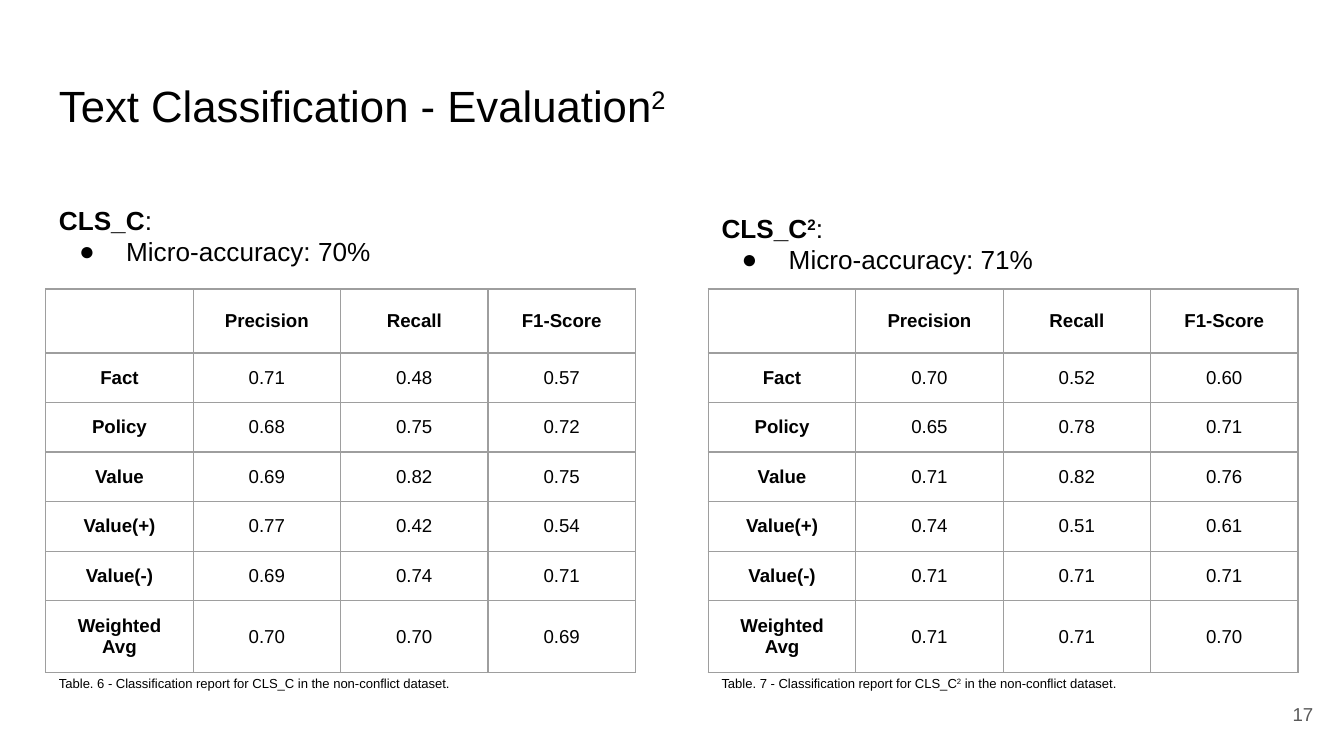
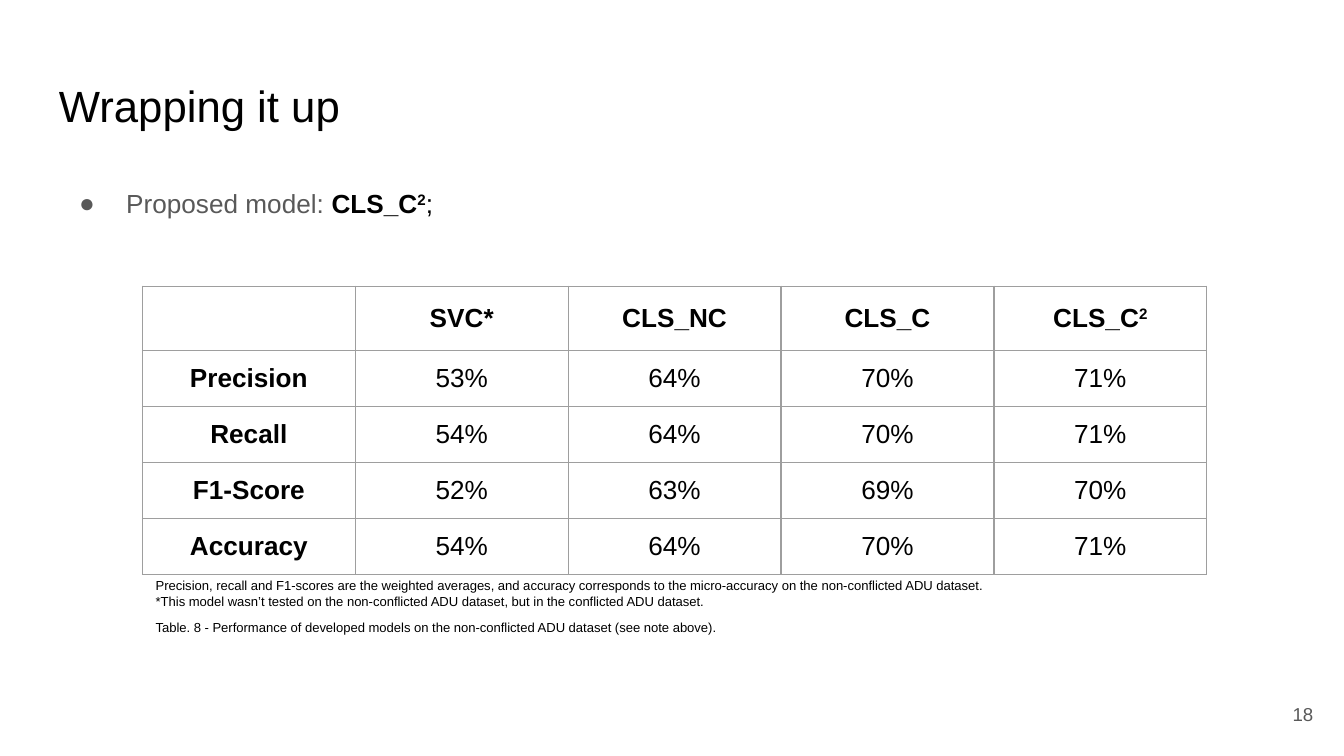
import pptx
import pptx.dml.color
import pptx.enum.text
import pptx.oxml.ns
import pptx.util
from lxml import etree

COLORS = {"text": "000000", "muted": "595959", "border": "9E9E9E", "back": "FFFFFF"}
FONT = "Arial"
ALIGN = pptx.enum.text.PP_ALIGN
ANCHOR = pptx.enum.text.MSO_ANCHOR
AUTO = pptx.enum.text.MSO_AUTO_SIZE
BOLD = {"bold": True}
SUPER = {"raised": True}
BOLD_SUPER = {"bold": True, "raised": True}
MUTED = {"color": "muted"}

# The grid has 100 columns by 56.25 rows, in square steps.
COLUMNS, ROWS = 100, 56.25
STEP = pptx.util.Inches(0.1)
LEFT, RIGHT, FULL = 3.4, 52.7, 93.2
HEADER = 4.76


def grid(n):
    return round(n * STEP)


def rgb(name):
    return pptx.dml.color.RGBColor.from_string(COLORS[name])


def sub(parent, tag, **attrs):
    return etree.SubElement(parent, pptx.oxml.ns.qn(tag), attrs)


class Deck:
    def __init__(self):
        self.prs = pptx.Presentation()
        self.prs.slide_width = grid(COLUMNS)
        self.prs.slide_height = grid(ROWS)
        self.s = None

    def slide(self, number, *title):
        self.s = self.prs.slides.add_slide(self.prs.slide_layouts[6])
        self.s.background.fill.solid()
        self.s.background.fill.fore_color.rgb = rgb("back")
        self.text(LEFT, 4.9, FULL, 6.3, [title], 23.4)
        tf = self.text(92.7, 51, 6, 4.3, [[(str(number), MUTED)]], 10)
        tf.vertical_anchor = ANCHOR.MIDDLE
        tf.paragraphs[0].alignment = ALIGN.RIGHT

    def run(self, p, text, size, bold=False, raised=False, color="text"):
        r = p.add_run()
        r.text = text
        r.font.name = FONT
        r.font.size = pptx.util.Pt(size)
        r.font.bold = bold
        r.font.color.rgb = rgb(color)
        if raised:
            r._r.get_or_add_rPr().set("baseline", "30000")

    def runs(self, p, pieces, size):
        """Each piece is a plain string or a (string, style) pair."""
        for piece in pieces:
            text, style = (piece, {}) if isinstance(piece, str) else piece
            self.run(p, text, size, **style)

    def inset(self, box, vertical=1):
        box.margin_left = box.margin_right = grid(1)
        box.margin_top = box.margin_bottom = grid(vertical)

    def text(self, x, y, w, h, paragraphs, size, grow=False):
        sp = self.s.shapes.add_textbox(grid(x), grid(y), grid(w), grid(h))
        tf = sp.text_frame
        tf.word_wrap = True
        tf.auto_size = AUTO.SHAPE_TO_FIT_TEXT if grow else AUTO.NONE
        self.inset(tf)
        for i, pieces in enumerate(paragraphs):
            p = tf.add_paragraph() if i else tf.paragraphs[0]
            self.runs(p, pieces, size)
        return tf

    def bullet(self, p, color="text"):
        pPr = p._p.get_or_add_pPr()
        pPr.set("marL", str(grid(5)))
        pPr.set("indent", str(grid(-3.5)))
        sub(sub(pPr, "a:buClr"), "a:srgbClr", val=COLORS[color])
        sub(pPr, "a:buFont", typeface=FONT)
        sub(pPr, "a:buChar", char="●")

    def caption(self, x, y, w, h, *paragraphs):
        self.text(x, y, w, h, paragraphs, 7, grow=True)

    def table(self, x, y, col, heights, rows, size):
        """Draw a table whose first row and first column are bold."""
        table = self.s.shapes.add_table(
            len(rows), len(rows[0]), grid(x), grid(y),
            grid(col * len(rows[0])), grid(sum(heights))).table
        table.first_row = table.horz_banding = False
        for column in table.columns:
            column.width = grid(col)
        for i, (height, row) in enumerate(zip(heights, rows)):
            table.rows[i].height = grid(height)
            for j, value in enumerate(row):
                cell = table.cell(i, j)
                self.border(cell)
                # Slim insets let the row heights, not the text, set the size.
                self.inset(cell, vertical=0.6)
                cell.vertical_anchor = ANCHOR.MIDDLE
                cell.fill.background()
                p = cell.text_frame.paragraphs[0]
                p.alignment = ALIGN.CENTER
                style = BOLD if i == 0 or j == 0 else {}
                if value:
                    pieces = [(value, style)] if isinstance(value, str) else value
                    self.runs(p, pieces, size)

    def border(self, cell):
        tcPr = cell._tc.get_or_add_tcPr()
        for side in "LRTB":
            ln = sub(tcPr, f"a:ln{side}", w=str(pptx.util.Pt(0.75)))
            sub(sub(ln, "a:solidFill"), "a:srgbClr", val=COLORS["border"])

    def report(self, x, scores):
        """Draw the classification report of one model."""
        labels = ["Fact", "Policy", "Value", "Value(+)", "Value(-)", "Weighted Avg"]
        rows = [["", "Precision", "Recall", "F1-Score"]]
        rows += [[label, *line.split()] for label, line in zip(labels, scores)]
        self.table(x, 21.5, 10.97, [HEADER] + [3.69] * 5 + [5.35], rows, 10)

    def model(self, x, y, name, accuracy):
        tf = self.text(x, y, 43.9, 6.7,
                       [[*name, ":"], [f"Micro-accuracy: {accuracy}"]], 14, grow=True)
        self.bullet(tf.paragraphs[1])


def evaluation(deck):
    deck.slide(17, "Text Classification - Evaluation", ("2", SUPER))
    deck.report(LEFT, ["0.71 0.48 0.57", "0.68 0.75 0.72", "0.69 0.82 0.75",
                       "0.77 0.42 0.54", "0.69 0.74 0.71", "0.70 0.70 0.69"])
    deck.report(RIGHT, ["0.70 0.52 0.60", "0.65 0.78 0.71", "0.71 0.82 0.76",
                        "0.74 0.51 0.61", "0.71 0.71 0.71", "0.71 0.71 0.70"])
    deck.model(LEFT, 14.2, [("CLS_C", BOLD)], "70%")
    deck.model(RIGHT, 14.8, [("CLS_C", BOLD), ("2", BOLD_SUPER)], "71%")
    top = 49.7
    deck.caption(LEFT, top, 33.8, 3.2, [
        "Table. 6 - Classification report for CLS_C in the non-conflict dataset."])
    deck.caption(RIGHT, top, 33.8, 3.2, [
        "Table. 7 - Classification report for CLS_C", ("2", SUPER),
        " in the non-conflict dataset."])


def wrap_up(deck):
    best = [("CLS_C", BOLD), ("2", BOLD_SUPER)]
    deck.slide(18, "Wrapping it up")
    tf = deck.text(LEFT, 12.6, FULL, 37.4,
                   [[("Proposed model: ", MUTED), *best, ";"]], 14)
    tf.paragraphs[0].line_spacing = 1.15
    deck.bullet(tf.paragraphs[0], "muted")
    left = 10.6
    deck.table(left, 21.3, 15.84, [HEADER] + [4.18] * 4, [
        ["", "SVC*", "CLS_NC", "CLS_C", best],
        ["Precision", "53%", "64%", "70%", "71%"],
        ["Recall", "54%", "64%", "70%", "71%"],
        ["F1-Score", "52%", "63%", "69%", "70%"],
        ["Accuracy", "54%", "64%", "70%", "71%"],
    ], 14)
    deck.caption(left, 42, 79.2, 4.4, [
        "Precision, recall and F1-scores are the weighted averages, and accuracy "
        "corresponds to the micro-accuracy on the non-conflicted ADU dataset."], [
        "*This model wasn’t tested on the non-conflicted ADU dataset, "
        "but in the conflicted ADU dataset."])
    deck.caption(left, 45.5, 48.6, 3.2, [
        "Table. 8 - Performance of developed models on the non-conflicted "
        "ADU dataset (see note above)."])


def main():
    deck = Deck()
    evaluation(deck)
    wrap_up(deck)
    deck.prs.save("out.pptx")


if __name__ == "__main__":
    main()
